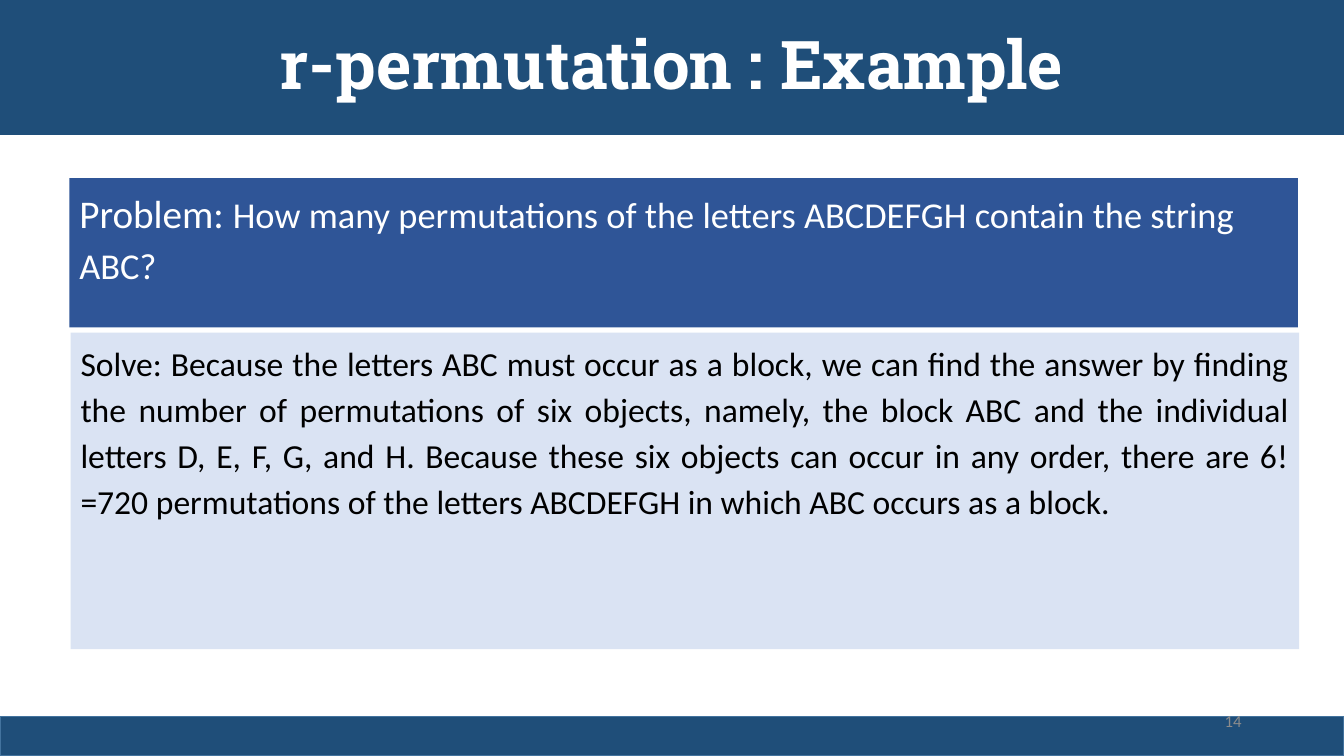
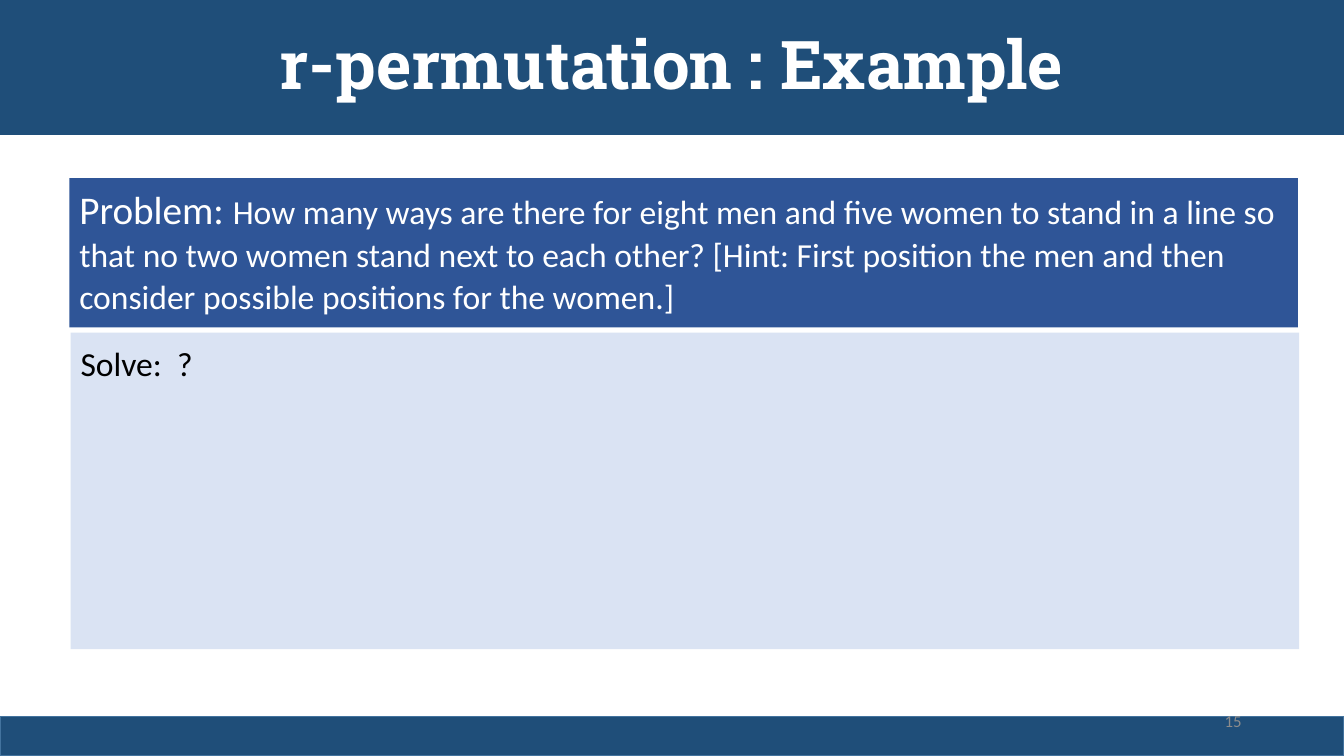
from pptx import Presentation
from pptx.dml.color import RGBColor as Rgb
from pptx.enum.shapes import MSO_SHAPE as Kind
from pptx.enum.text import MSO_ANCHOR as Anchor, PP_ALIGN as Align
from pptx.util import Cm, Pt

INK = {
    "band": "1F4E79",
    "edge": "43739E",
    "ask": "2F5597",
    "solve": "DAE3F3",
    "white": "FFFFFF",
    "black": "000000",
    "grey": "8C8C8C",
}
WIDE, HIGH = 33.87, 19.05
FOOT = 1.0
TITLE = "r-permutation : Example"

PAGES = [
    {
        "page": "14",
        "ask": "How many permutations of the letters ABCDEFGH contain the string ABC?",
        "size": 26,
        "lead": 1.14,
        "solve": "Solve: Because the letters ABC must occur as a block, we can find the "
                 "answer by finding the number of permutations of six objects, namely, "
                 "the block ABC and the individual letters D, E, F, G, and H. Because "
                 "these six objects can occur in any order, there are 6!=720 "
                 "permutations of the letters ABCDEFGH in which ABC occurs as a block.",
    },
    {
        "page": "15",
        "ask": "How many ways are there for eight men and five women to stand in a line "
               "so that no two women stand next to each other? [Hint: First position "
               "the men and then consider possible positions for the women.]",
        "size": 24,
        "lead": 1.04,
        "solve": "Solve:  ?",
    },
]


def panel(slide, left, top, width, height, fill):
    box = slide.shapes.add_shape(Kind.RECTANGLE, Cm(left), Cm(top), Cm(width), Cm(height))
    box.shadow.inherit = False
    box.fill.solid()
    box.fill.fore_color.rgb = Rgb.from_string(INK[fill])
    box.line.fill.background()
    return box


def write(box, parts, ink, align, lead=1.0, anchor=Anchor.TOP, face="Calibri", bold=False):
    frame = box.text_frame
    frame.word_wrap = True
    frame.vertical_anchor = anchor
    para = frame.paragraphs[0]
    para.alignment = align
    para.line_spacing = lead
    for text, size in parts:
        run = para.add_run()
        run.text = text
        run.font.name = face
        run.font.size = Pt(size)
        run.font.bold = bold
        run.font.color.rgb = Rgb.from_string(INK[ink])


deck = Presentation()
deck.slide_width, deck.slide_height = Cm(WIDE), Cm(HIGH)

for item in PAGES:
    slide = deck.slides.add_slide(deck.slide_layouts[6])

    head = panel(slide, 0, 0, WIDE, 3.4, "band")
    write(head, [(TITLE, 48)], "white", Align.CENTER, 0.9, Anchor.MIDDLE, "Roboto Slab", True)

    foot = panel(slide, 0, HIGH - FOOT, WIDE, FOOT, "band")
    foot.line.color.rgb = Rgb.from_string(INK["edge"])
    foot.line.width = Pt(1)

    ask = panel(slide, 1.75, 4.49, 30.96, 3.76, "ask")
    write(ask, [("Problem: ", 28), (item["ask"], item["size"])], "white", Align.LEFT, item["lead"])

    solve = panel(slide, 1.78, 8.38, 30.96, 7.98, "solve")
    write(solve, [(item["solve"], 24)], "black", Align.JUSTIFY, 1.14)

    page = slide.shapes.add_textbox(Cm(23.92), Cm(17.66), Cm(7.62), Cm(1.01))
    write(page, [(item["page"], 12)], "grey", Align.RIGHT, anchor=Anchor.MIDDLE)

deck.save("out.pptx")
